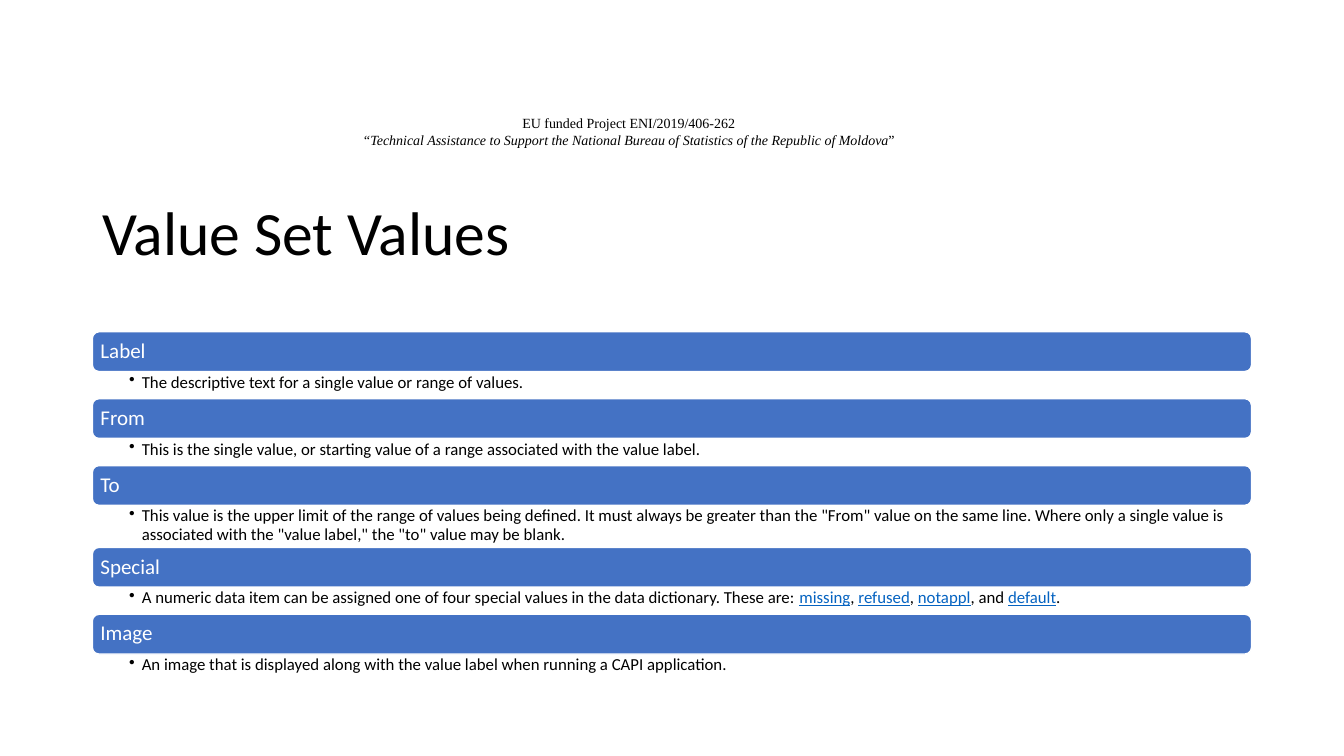
from lxml import etree
from pptx import Presentation
from pptx.dml.color import RGBColor
from pptx.enum import shapes, text
from pptx.oxml import ns
from pptx.util import Pt

LEFT, WIDTH = 66, 828
LIST_TOP, BAR_HEIGHT = 237, 28.4
LINE_HEIGHTS = {1: 19.4, 2: 30}

LINK = {"color": "0563C1", "underline": True}
PROJECT = [
    [("EU funded Project ENI/2019/406-262", {})],
    [("“Technical Assistance to Support the National Bureau of Statistics "
      "of the Republic of Moldova", {"italic": True}), ("”", {})],
]
# Heading, number of detail lines, spans of the detail
ENTRIES = [
    ("Label", 1, [("The descriptive text for a single value or range of values.\u00a0", {})]),
    ("From", 1, [("This is the single value, or starting value of a range "
                  "associated with the value label.", {})]),
    ("To", 2, [("This value is the upper limit of the range of values being defined. "
                "It must always be greater than the \"From\" value on the same line. "
                "Where only a single value is associated with the \"value label,\" "
                "the \"to\" value may be blank.", {})]),
    ("Special", 1, [("A numeric data item can be assigned one of four special values "
                     "in the data dictionary. These are:\u00a0", {}),
                    ("missing", LINK), (",\u00a0", {}), ("refused", LINK), (",\u00a0", {}),
                    ("notappl", LINK), (", and\u00a0", {}), ("default", LINK), (".", {})]),
    ("Image", 1, [("An image that is displayed along with the value label "
                   "when running a CAPI application.", {})]),
]


def rgb(value):
    """Turn a hex string into a colour."""
    return RGBColor.from_string(value)


def set_all(target, values):
    """Set each attribute in the dict on the target."""
    for name, value in values.items():
        setattr(target, name, value)


class Page:
    """The current slide and its style."""

    font = "Calibri"
    ink, accent, paper = "000000", "4472C4", "FFFFFF"

    def __init__(self, deck):
        """Add a blank slide to the deck."""
        self.shapes = deck.slides.add_slide(deck.slide_layouts[6]).shapes

    def fill_text(self, box, paragraphs, size, color=ink, font=font,
                  insets=(7.2, 3.6, 7.2, 3.6), anchor=text.MSO_ANCHOR.TOP,
                  align=text.PP_ALIGN.LEFT, spacing=0.9):
        """Fill a box with paragraphs made of formatted spans."""
        frame = box.text_frame
        sides = ("margin_left", "margin_top", "margin_right", "margin_bottom")
        set_all(frame, {"word_wrap": True, "vertical_anchor": anchor,
                        **{side: Pt(inset) for side, inset in zip(sides, insets)}})
        for index, spans in enumerate(paragraphs):
            para = frame.add_paragraph() if index else frame.paragraphs[0]
            set_all(para, {"alignment": align, "line_spacing": spacing})
            for words, changes in spans:
                span = para.add_run()
                span.text = words
                values = {"name": font, "size": Pt(size), **changes}
                span.font.color.rgb = rgb(values.pop("color", color))
                set_all(span.font, values)

    def text(self, left, top, width, height, paragraphs, size, **style):
        """Add a text box."""
        box = self.shapes.add_textbox(Pt(left), Pt(top), Pt(width), Pt(height))
        self.fill_text(box, paragraphs, size, **style)
        return box

    def bar(self, top, heading):
        """Add a rounded heading bar."""
        box = self.shapes.add_shape(shapes.MSO_SHAPE.ROUNDED_RECTANGLE,
                                    Pt(LEFT), Pt(top), Pt(WIDTH), Pt(BAR_HEIGHT))
        box.shadow.inherit = False
        box.fill.solid()
        box.fill.fore_color.rgb = rgb(self.accent)
        box.line.color.rgb = rgb(self.paper)
        box.line.width = Pt(1)
        self.fill_text(box, [[(heading, {})]], 15, color=self.paper, insets=(4.4,) * 4,
                       anchor=text.MSO_ANCHOR.MIDDLE)

    def detail(self, top, height, spans):
        """Add a bulleted detail below a bar."""
        box = self.text(LEFT, top, WIDTH, height, [spans], 12, insets=(26.3, 1.5, 8.5, 1.5))
        settings = box.text_frame.paragraphs[0]._p.get_or_add_pPr()
        indent = Pt(9)
        settings.set("marL", str(indent))
        settings.set("indent", str(-indent))
        etree.SubElement(settings, ns.qn("a:buChar"), char="•")


def main():
    """Build and save the deck."""
    deck = Presentation()
    deck.slide_width, deck.slide_height = Pt(960), Pt(540)
    page = Page(deck)
    page.text(209, 78, 480, 31.5, PROJECT, 10, font="Times New Roman",
              align=text.PP_ALIGN.CENTER, spacing=1.0)
    page.text(LEFT, 116, WIDTH, 104.4, [[("Value Set Values", {})]], 44,
              anchor=text.MSO_ANCHOR.MIDDLE)
    top = LIST_TOP
    for heading, lines, spans in ENTRIES:
        page.bar(top, heading)
        page.detail(top + BAR_HEIGHT, LINE_HEIGHTS[lines], spans)
        top += BAR_HEIGHT + LINE_HEIGHTS[lines]
    deck.save("out.pptx")


main()
